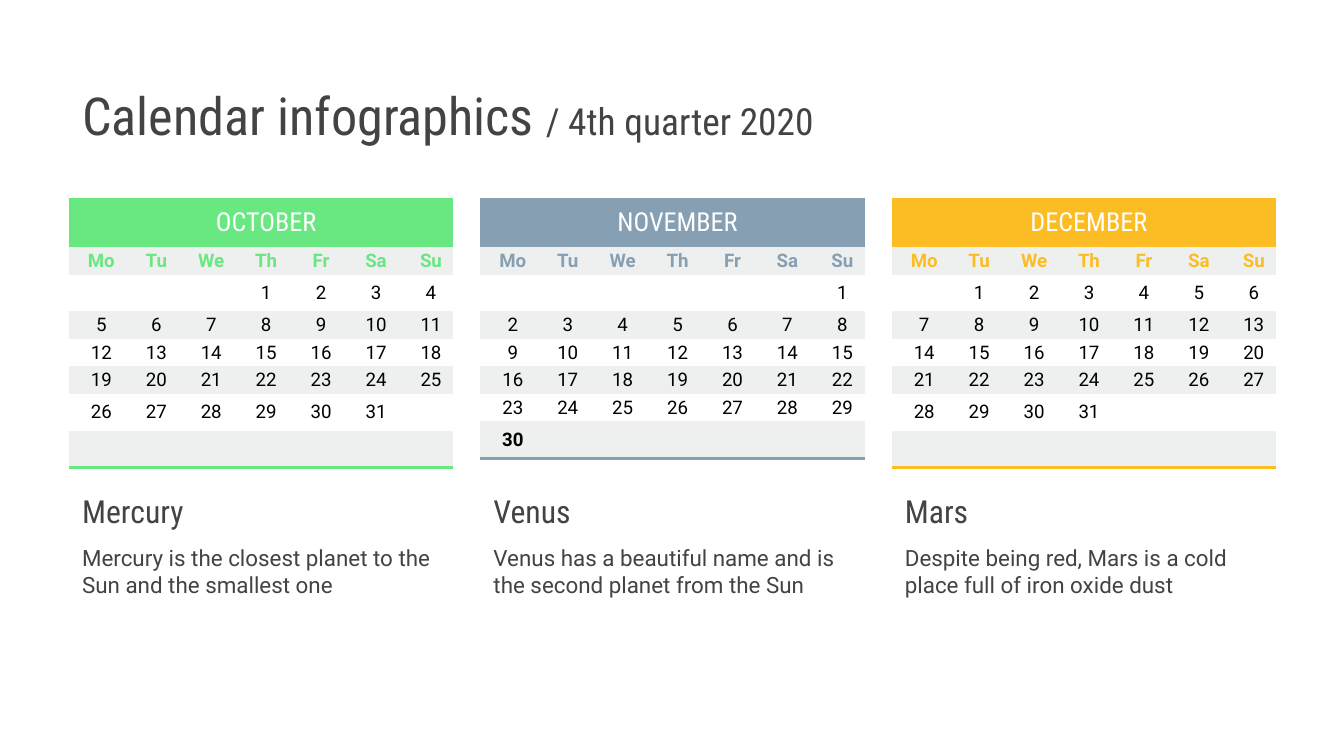
from lxml.etree import SubElement
from pptx import Presentation
from pptx.dml.color import RGBColor
from pptx.enum.text import MSO_ANCHOR as Anchor, MSO_AUTO_SIZE as AutoSize, PP_ALIGN as Align
from pptx.oxml.ns import qn
from pptx.util import Pt

# Content
GREEN = RGBColor(0x69, 0xE7, 0x81)
SLATE = RGBColor(0x86, 0x9F, 0xB2)
AMBER = RGBColor(0xFC, 0xBD, 0x24)
BAND = RGBColor(0xEE, 0xF0, 0xF0)
WHITE = RGBColor(0xFF, 0xFF, 0xFF)
BLACK = RGBColor(0, 0, 0)
GREY = RGBColor(0x43, 0x43, 0x43)
BODY_FONT, HEAD_FONT = "Roboto", "Roboto Condensed"

TITLE = [("Calendar infographics ", 28), ("/ 4th quarter 2020", 20)]
WEEKDAYS = ["Mo", "Tu", "We", "Th", "Fr", "Sa", "Su"]
# name, colour, weekday of the 1st (Monday is 0), days, planet, note
MONTHS = [
    ("OCTOBER", GREEN, 3, 31, "Mercury",
     "Mercury is the closest planet to the Sun and the smallest one"),
    ("NOVEMBER", SLATE, 6, 30, "Venus",
     "Venus has a beautiful name and is the second planet from the Sun"),
    ("DECEMBER", AMBER, 1, 31, "Mars",
     "Despite being red, Mars is a cold place full of iron oxide dust"),
]

# Layout, in points
LEFT, MONTH_STEP = 36.9, 220.4
CALENDAR_TOP, COLUMN_WIDTH = 106, 29.45
NAME_HEIGHT, FULL_ROW, GAP_ROW = 26.4, 14.75, 19.75
WEEKS = 6
TEXT_WIDTH, INSET = 205.5, 7.2


def add_run(paragraph, text, size, font, color, bold=False):
    run = paragraph.add_run()
    run.text = text
    run.font.size = Pt(size)
    run.font.name = font
    run.font.color.rgb = color
    run.font.bold = bold


def format_frame(frame, anchor):
    frame.word_wrap = True
    frame.auto_size = AutoSize.NONE
    frame.vertical_anchor = anchor
    frame.margin_left = frame.margin_right = Pt(INSET)
    frame.margin_top = frame.margin_bottom = Pt(INSET)


def fill_cell(cell, text, fill, size, font, color, bold=False, inset=0):
    cell.fill.solid()
    cell.fill.fore_color.rgb = fill
    cell.vertical_anchor = Anchor.MIDDLE
    cell.margin_left, cell.margin_right = Pt(5.4), 0
    cell.margin_top = cell.margin_bottom = Pt(inset)
    paragraph = cell.text_frame.paragraphs[0]
    paragraph.alignment = Align.CENTER
    if text:
        add_run(paragraph, text, size, font, color, bold)
    else:  # keeps an empty cell from stretching its row
        SubElement(paragraph._p, qn("a:endParaRPr"), sz=str(size * 100))


def underline_cell(cell, color):
    properties = cell._tc.get_or_add_tcPr()
    line = SubElement(properties, qn("a:lnB"), w=str(Pt(2)))
    SubElement(SubElement(line, qn("a:solidFill")), qn("a:srgbClr"), val=str(color))
    properties.insert(0, line)


def add_calendar(slide, left, name, color, first, days):
    dates = [""] * first + [str(day) for day in range(1, days + 1)]
    dates += [""] * (7 * WEEKS - len(dates))
    rows = [WEEKDAYS] + [dates[7 * week:7 * week + 7] for week in range(WEEKS)]
    heights = [NAME_HEIGHT] + [FULL_ROW if all(row) else GAP_ROW for row in rows]
    table = slide.shapes.add_table(
        len(heights), 7, Pt(left), Pt(CALENDAR_TOP),
        Pt(7 * COLUMN_WIDTH), Pt(sum(heights))).table
    table.first_row = table.horz_banding = False
    # "No Style, No Grid"
    style = table._tbl.tblPr.find(qn("a:tableStyleId"))
    style.text = "{2D5ABB26-0587-4C30-8999-92F81FD0307C}"
    for column in table.columns:
        column.width = Pt(COLUMN_WIDTH)
    for row, height in zip(table.rows, heights):
        row.height = Pt(height)

    # Month name
    table.cell(0, 0).merge(table.cell(0, 6))
    fill_cell(table.cell(0, 0), name, color, 14, HEAD_FONT, WHITE, inset=2.7)

    # Weekdays and dates
    for r, row in enumerate(rows, 1):
        for c, text in enumerate(row):
            cell = table.cell(r, c)
            fill_cell(cell, text, BAND if r % 2 else WHITE, 10, BODY_FONT,
                      color if r == 1 else BLACK, bold=r in (1, len(rows)))
            if r == len(rows):
                underline_cell(cell, color)


def add_caption(slide, left, top, height, text, size, font, anchor):
    box = slide.shapes.add_textbox(Pt(left), Pt(top), Pt(TEXT_WIDTH), Pt(height))
    format_frame(box.text_frame, anchor)
    add_run(box.text_frame.paragraphs[0], text, size, font, GREY)


def main():
    deck = Presentation()
    deck.slide_width, deck.slide_height = Pt(720), Pt(405)
    slide = deck.slides.add_slide(deck.slide_layouts[5])

    # Title
    title = slide.shapes.title
    title.left, title.top, title.width, title.height = Pt(LEFT), Pt(42.5), Pt(627), Pt(38.2)
    format_frame(title.text_frame, Anchor.MIDDLE)
    heading = title.text_frame.paragraphs[0]
    heading.alignment = Align.LEFT
    for text, size in TITLE:
        add_run(heading, text, size, HEAD_FONT, GREY)

    # Months with their planets
    for i, (name, color, first, days, planet, note) in enumerate(MONTHS):
        left = LEFT + i * MONTH_STEP
        add_calendar(slide, left, name, color, first, days)
        add_caption(slide, left, 257, 33.8, planet, 17, HEAD_FONT, Anchor.MIDDLE)
        add_caption(slide, left, 284.4, 44, note, 12, BODY_FONT, Anchor.TOP)

    deck.save("out.pptx")


if __name__ == "__main__":
    main()
